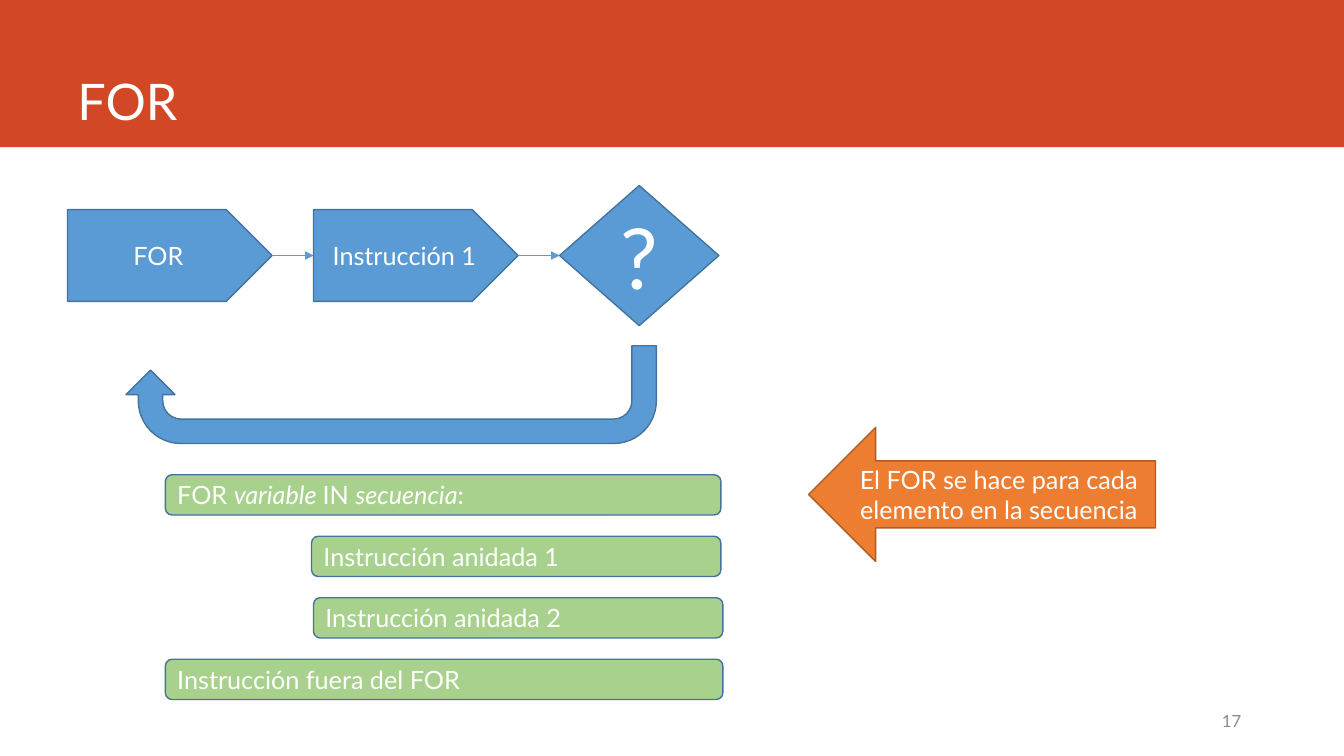
"""Build the slide that explains the FOR loop."""
from lxml import etree
from pptx import Presentation
from pptx import util as u
from pptx.dml.color import RGBColor
from pptx.enum import shapes, text
from pptx.oxml.ns import qn

WHITE = RGBColor(0xFF, 0xFF, 0xFF)
RED = RGBColor(0xD2, 0x47, 0x26)
BLUE = RGBColor(0x5B, 0x9B, 0xD5)
EDGE = RGBColor(0x43, 0x73, 0x9E)
GREEN = RGBColor(0xA9, 0xD1, 0x8E)
ORANGE = RGBColor(0xED, 0x7D, 0x31)
BROWN = RGBColor(0xAF, 0x5C, 0x24)
GREY = RGBColor(0x8C, 0x8C, 0x8C)
KIND = shapes.MSO_SHAPE
LEFT, MID, RIGHT = text.PP_ALIGN.LEFT, text.PP_ALIGN.CENTER, text.PP_ALIGN.RIGHT

STEPS = ["FOR", "Instrucción 1"]
STEP_X, STEP_Y, STEP_W, STEP_H, GAP = 0.67, 2.08, 2.03, 0.91, 0.41
CODE = [
    (1.64, 5.51, [("FOR ", False), ("variable ", True), ("IN ", False),
                  ("secuencia", True), (":", False)]),
    (3.09, 4.06, [("Instrucción anidada 1", False)]),
    (3.11, 4.06, [("Instrucción anidada 2", False)]),
    (1.64, 5.53, [("Instrucción fuera del FOR", False)]),
]
CODE_Y, CODE_H, PITCH = 4.71, 0.4, 0.61
NOTE = "El FOR se hace para cada elemento en la secuencia"

deck = Presentation()
deck.slide_width, deck.slide_height = u.Inches(13.33), u.Inches(7.5)
slide = deck.slides.add_slide(deck.slide_layouts[6])


def write(shape, runs, size=18, align=MID, color=WHITE, anchor=text.MSO_ANCHOR.MIDDLE):
    frame = shape.text_frame
    frame.word_wrap = True
    frame.vertical_anchor = anchor
    para = frame.paragraphs[0]
    para.alignment = align
    para.font.name, para.font.size = "Lato", u.Pt(size)
    para.font.color.rgb = color
    for words, slant in runs:
        run = para.add_run()
        run.text = words
        if slant:
            run.font.italic = True


def draw(kind, box, fill=BLUE, edge=EDGE):
    shape = slide.shapes.add_shape(kind, *map(u.Inches, box))
    shape.shadow.inherit = False
    shape.fill.solid()
    shape.fill.fore_color.rgb = fill
    if edge is None:
        shape.line.fill.background()
    else:
        shape.line.color.rgb = edge
        shape.line.width = u.Pt(1)
    return shape


def label(box, words, **style):
    write(slide.shapes.add_textbox(*map(u.Inches, box)), [(words, False)], **style)


def link(start, end, y):
    line = slide.shapes.add_connector(
        shapes.MSO_CONNECTOR.STRAIGHT, *map(u.Inches, (start, y, end, y)))
    line.line.color.rgb = BLUE
    line.line.width = u.Pt(0.5)
    etree.SubElement(line.line._get_or_add_ln(), qn("a:tailEnd"), type="triangle")
    etree.SubElement(line._element.spPr, qn("a:effectLst"))


draw(KIND.RECTANGLE, (0, 0, 13.33, 1.46), RED, None)
label((0.67, 0, 11.75, 1.34), "FOR", size=36, align=LEFT, anchor=text.MSO_ANCHOR.BOTTOM)
label((8.83, 6.95, 3.58, 0.4), "17", size=12, align=RIGHT, color=GREY)

for i, step in enumerate(STEPS):
    x = STEP_X + i * (STEP_W + GAP)
    write(draw(KIND.PENTAGON, (x, STEP_Y, STEP_W, STEP_H)), [(step, False)])
    link(x + STEP_W, x + STEP_W + GAP, STEP_Y + STEP_H / 2)

write(draw(KIND.DIAMOND, (5.55, 1.84, 1.58, 1.39)), [("?", False)], size=60)
draw(KIND.U_TURN_ARROW, (1.25, 3.43, 5.26, 0.97)).rotation = 180

for i, (x, width, runs) in enumerate(CODE):
    bar = draw(KIND.ROUNDED_RECTANGLE, (x, CODE_Y + i * PITCH, width, CODE_H), GREEN)
    write(bar, runs, align=LEFT)

write(draw(KIND.LEFT_ARROW, (8.02, 4.24, 3.44, 1.33), ORANGE, BROWN), [(NOTE, False)])

deck.save("out.pptx")
